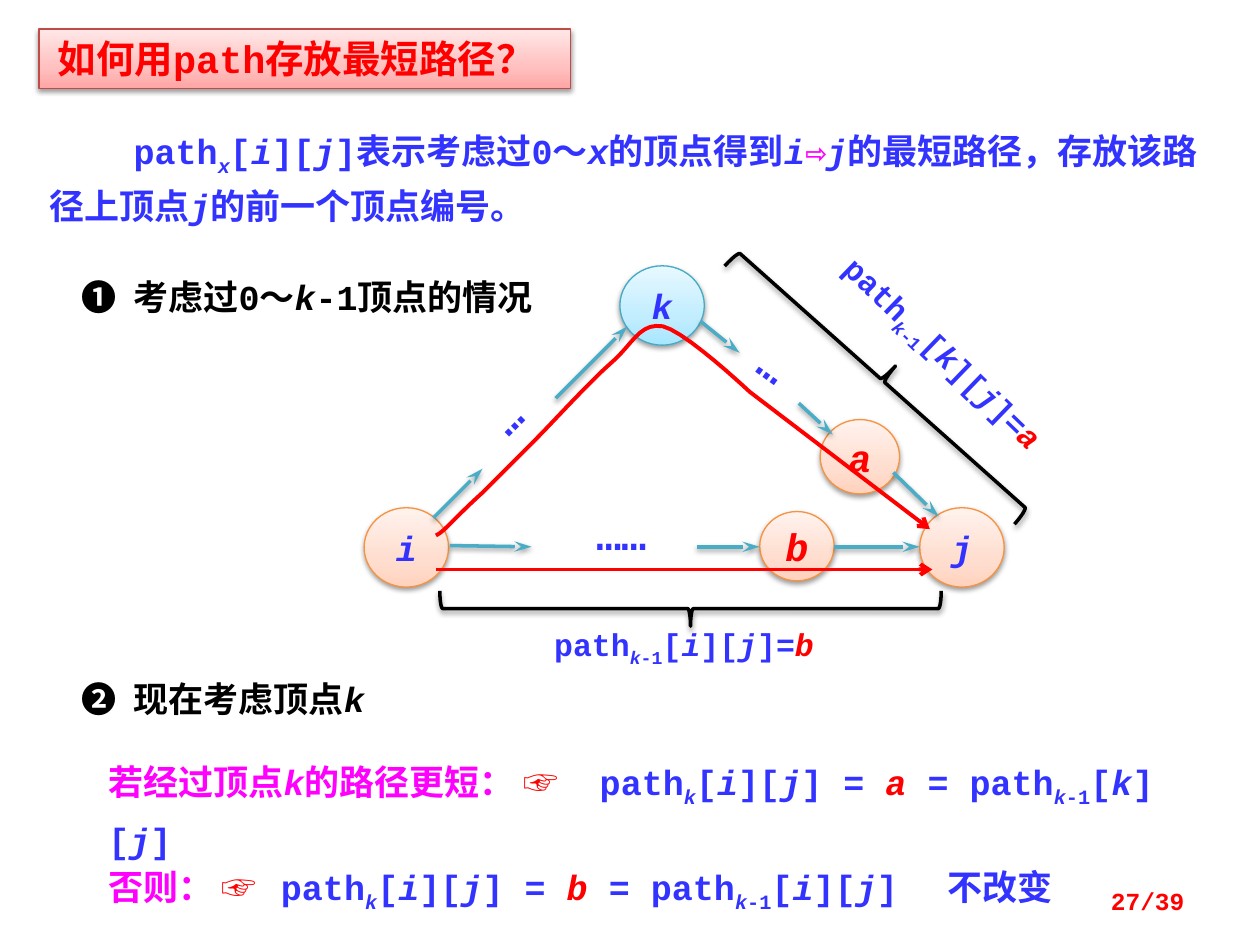
from lxml import etree
from pptx import Presentation
from pptx.dml.color import RGBColor
from pptx.enum.shapes import MSO_CONNECTOR, MSO_SHAPE
from pptx.enum.text import MSO_ANCHOR, PP_ALIGN
from pptx.oxml.ns import qn
from pptx.util import Inches, Pt

LEFT, MID, RIGHT = PP_ALIGN.LEFT, PP_ALIGN.CENTER, PP_ALIGN.RIGHT
TOP, CENTRE = MSO_ANCHOR.TOP, MSO_ANCHOR.MIDDLE
OVAL, BRACE = MSO_SHAPE.OVAL, MSO_SHAPE.RIGHT_BRACE
LINE = MSO_CONNECTOR.STRAIGHT
FONT = "Courier New"
INK = {"blue": "3333FF", "red": "FF0000", "pink": "FF00FF", "black": "000000",
       "teal": "4BACC6", "white": "FFFFFF"}
# Edge colour, then gradient stops at 0, 35 and 100 percent
TINT = {"orange": ("F69240", "FFD2BD", "FFDED0", "FFF2ED"),
        "sky": ("46AAC5", "A7E6FF", "C1EDFF", "E7F8FF"),
        "rose": ("BF4C48", "FFA6A5", "FFC0BF", "FFE7E7")}


def rgb(code):
    return RGBColor.from_string(code)


def node(parent, tag, **attrs):
    item = etree.SubElement(parent, qn(tag))
    for key, value in attrs.items():
        item.set(key, str(value))
    return item


def effect(shape, shade):
    """Give a drawn shape the soft shadow, or none; call after its line is set."""
    props = shape.element.spPr
    for old in props.findall(qn("a:effectLst")):
        props.remove(old)
    group = node(props, "a:effectLst")
    if shade:
        cast = node(group, "a:outerShdw", blurRad=Pt(3.1), dist=Pt(1.6),
                    dir=5400000, rotWithShape=0)
        node(node(cast, "a:srgbClr", val=INK["black"]), "a:alpha", val=38000)


def stroke(shape, colour, width, head=None):
    shape.line.color.rgb = rgb(colour)
    shape.line.width = Pt(width)
    if head:
        size = "lg" if head == "stealth" else "med"
        node(shape.line._get_or_add_ln(), "a:tailEnd", type=head, len=size)


def tint(shape, name):
    edge, *shades = TINT[name]
    shape.fill.gradient()
    shape.fill.gradient_angle = 90
    stops = shape.element.spPr.find(".//" + qn("a:gsLst"))
    stops.clear()
    for pos, shade in zip((0, 35, 100), shades):
        node(node(stops, "a:gs", pos=pos * 1000), "a:srgbClr", val=shade)
    stroke(shape, edge, 0.75)
    effect(shape, True)


def indent(para, first, left=0):
    props = para._p.get_or_add_pPr()
    props.set("marL", str(Inches(left)))
    props.set("indent", str(Inches(first)))


def tabs(para, *stops):
    group = node(para._p.get_or_add_pPr(), "a:tabLst")
    for stop in stops:
        node(group, "a:tab", pos=Inches(stop), algn="l")


def write(para, runs, size, align=LEFT):
    """Add runs of (text, colour, flags); flags: i italic, s subscript."""
    para.alignment = align
    for text, colour, flags in runs:
        run = para.add_run()
        run.text = text
        font = run.font
        font.name, font.size, font.bold = FONT, Pt(size), True
        font.italic = "i" in flags
        font.color.rgb = rgb(INK[colour])
        if "s" in flags:
            run._r.get_or_add_rPr().set("baseline", "-25000")


def frame(shape, wrap=True, anchor=TOP, pad=None):
    body = shape.text_frame
    body.word_wrap, body.vertical_anchor = wrap, anchor
    if pad:
        body.margin_left = body.margin_right = Inches(pad[0])
        body.margin_top = body.margin_bottom = Inches(pad[1])
    return body


def label(slide, box, runs, size, align=LEFT, turn=0, anchor=TOP, pad=(0.1, 0.05)):
    shape = slide.shapes.add_textbox(*map(Inches, box))
    shape.rotation = turn
    para = frame(shape, anchor=anchor, pad=pad).paragraphs[0]
    write(para, runs, size, align)
    return shape


def vertex(slide, box, name, size=20, ink="blue", fill="orange"):
    shape = slide.shapes.add_shape(OVAL, *map(Inches, box))
    tint(shape, fill)
    body = frame(shape, wrap=False, anchor=CENTRE)
    write(body.paragraphs[0], [(name, ink, "i")], size, MID)


def arrow(slide, ends, ink="teal", width=2, head="stealth", shade=True):
    shape = slide.shapes.add_connector(LINE, *map(Inches, ends))
    stroke(shape, INK[ink], width, head)
    effect(shape, shade)


def brace(slide, box, turn):
    shape = slide.shapes.add_shape(BRACE, *map(Inches, box))
    shape.rotation = turn
    shape.fill.background()
    stroke(shape, INK["black"], 2)
    effect(shape, True)


def bend(start, one, two, end, steps=10):
    """Points along a cubic curve, without its start."""
    for step in range(1, steps + 1):
        t = step / steps
        u = 1 - t
        yield tuple(u**3 * a + 3 * u * u * t * b + 3 * u * t * t * c + t**3 * d
                    for a, b, c, d in zip(start, one, two, end))


def route(slide):
    """Red path from i over k to j."""
    points = [(3.46, 4.25)]
    points += bend(points[-1], (3.5, 4.23), (3.53, 4.2), (3.59, 4.14))
    points += bend(points[-1], (3.65, 4.08), (3.72, 4.01), (3.83, 3.91))
    points.append((4.22, 3.52))
    points += bend(points[-1], (4.39, 3.35), (4.67, 3.04), (4.84, 2.89))
    points += bend(points[-1], (5.02, 2.74), (5.07, 2.56), (5.26, 2.59))
    points += bend(points[-1], (5.44, 2.63), (5.95, 3.11), (5.95, 3.11))
    points.append((7.38, 4.2))
    first, *rest = [(Inches(x), Inches(y)) for x, y in points]
    pen = slide.shapes.build_freeform(*first)
    pen.add_line_segments(rest, close=False)
    shape = pen.convert_to_shape()
    shape.fill.background()
    stroke(shape, INK["red"], 2.25, "arrow")
    effect(shape, False)


def cell(row, col):
    return [("[", "blue", ""), (row, "blue", "i"), ("][", "blue", ""),
            (col, "blue", "i")]


def entry(row, col, tail="]", lead="path", less=True):
    minus = [("-1", "blue", "s")] if less else []
    return [(lead, "blue", ""), ("k", "blue", "is"), *minus, *cell(row, col),
            (tail, "blue", "")]


def rule(value, row, tail="]"):
    return [("☞\t", "red", ""), *entry("i", "j", "] = ", less=False),
            (value + " ", "red", "i"), *entry(row, "j", tail, "= path")]


def texts(slide):
    intro = [("path", "blue", ""), ("x", "blue", "is"), *cell("i", "j"),
             ("]表示考虑过0～", "blue", ""), ("x", "blue", "i"),
             ("的顶点得到", "blue", ""), ("i", "blue", "i"), ("⇨", "pink", ""),
             ("j", "blue", "i"), ("的最短路径，存放该路径上顶点", "blue", ""),
             ("j", "blue", "i"), ("的前一个顶点编号。", "blue", "")]
    para = label(slide, (0.39, 1.02, 9.38, 0.75), intro, 20,
                 pad=(0, 0)).text_frame.paragraphs[0]
    para.line_spacing = Pt(28)
    indent(para, 0.67)

    steps = [(2.11, 4.14, "❶\t考虑过0～", [("-1顶点的情况", "black", "")]),
             (5.3, 3.59, "❷\t现在考虑顶点", [])]
    for top, width, lead, rest in steps:
        runs = [(lead, "black", ""), ("k", "black", "i"), *rest]
        shape = label(slide, (0.55, top, width, 0.5), runs, 20, pad=(0.1, 0.08))
        shape.fill.solid()
        shape.fill.fore_color.rgb = rgb(INK["white"])
        indent(shape.text_frame.paragraphs[0], -0.41, 0.41)

    short = [("若经过顶点", "pink", ""), ("k", "pink", "i"),
             ("的路径更短： ", "pink", ""), *rule("a", "k")]
    other = [("否则： ", "pink", ""), *rule("b", "i", "]\t不改变")]
    body = label(slide, (0.86, 6, 8.75, 0.8), short, 20, pad=(0, 0)).text_frame
    write(body.add_paragraph(), other, 20)
    for para, stops in zip(body.paragraphs, ((3.9,), (1.37, 6.66))):
        para.line_spacing = Pt(30)
        tabs(para, *stops)
    label(slide, (7.17, 6.95, 2.33, 0.4), [("27/39", "red", "")], 14, RIGHT,
          anchor=CENTRE)


def graph(slide):
    vertex(slide, (2.89, 4.03, 0.67, 0.63), "i")
    vertex(slide, (7.3, 4.03, 0.67, 0.63), "j")
    vertex(slide, (4.92, 2.11, 0.67, 0.63), "k", fill="sky")
    vertex(slide, (6.03, 4.06, 0.59, 0.55), "b", 22, "red")
    vertex(slide, (6.51, 3.33, 0.63, 0.59), "a", 22, "red")
    for ends in ((3.57, 4.33, 4.22, 4.34), (5.53, 4.34, 6.03, 4.34),
                 (6.62, 4.34, 7.3, 4.34), (3.44, 4.11, 3.83, 3.72),
                 (4.41, 3.16, 4.98, 2.59), (5.56, 2.55, 5.87, 2.8),
                 (6.34, 3.2, 6.61, 3.45), (7.09, 3.75, 7.45, 4.1)):
        arrow(slide, ends)
    for box, dots, turn in (((4.22, 3.99, 1.42, 0.5), "……", 0),
                            ((3.81, 3.21, 0.71, 0.5), "…", 135),
                            ((5.79, 2.65, 0.71, 0.5), "…", 35.8)):
        label(slide, box, [(dots, "blue", "")], 24, MID, turn)
    for box, row, value, turn in (((4.3, 4.91, 2.54, 0.4), "i", "b", 0),
                                  ((6.28, 2.8, 2.84, 0.4), "k", "a", 44)):
        runs = [*entry(row, "j", "]="), (value, "red", "i")]
        label(slide, box, runs, 18, turn=turn)
    brace(slide, (5.34, 2.84, 0.28, 3.98), 90)
    brace(slide, (6.85, 1.48, 0.31, 3.08), 311.7)
    route(slide)
    arrow(slide, (3.46, 4.52, 7.4, 4.52), "red", 2.25, "arrow", False)


def main():
    deck = Presentation()
    deck.slide_width, deck.slide_height = Inches(10), Inches(7.5)
    slide = deck.slides.add_slide(deck.slide_layouts[5])
    title = slide.shapes.title
    title.left, title.top = Inches(0.31), Inches(0.23)
    title.width, title.height = Inches(4.22), Inches(0.47)
    tint(title, "rose")
    body = frame(title, anchor=CENTRE, pad=(0.15, 0.05))
    write(body.paragraphs[0], [("如何用path存放最短路径？", "red", "")], 22)
    texts(slide)
    graph(slide)
    deck.save("out.pptx")


if __name__ == "__main__":
    main()
